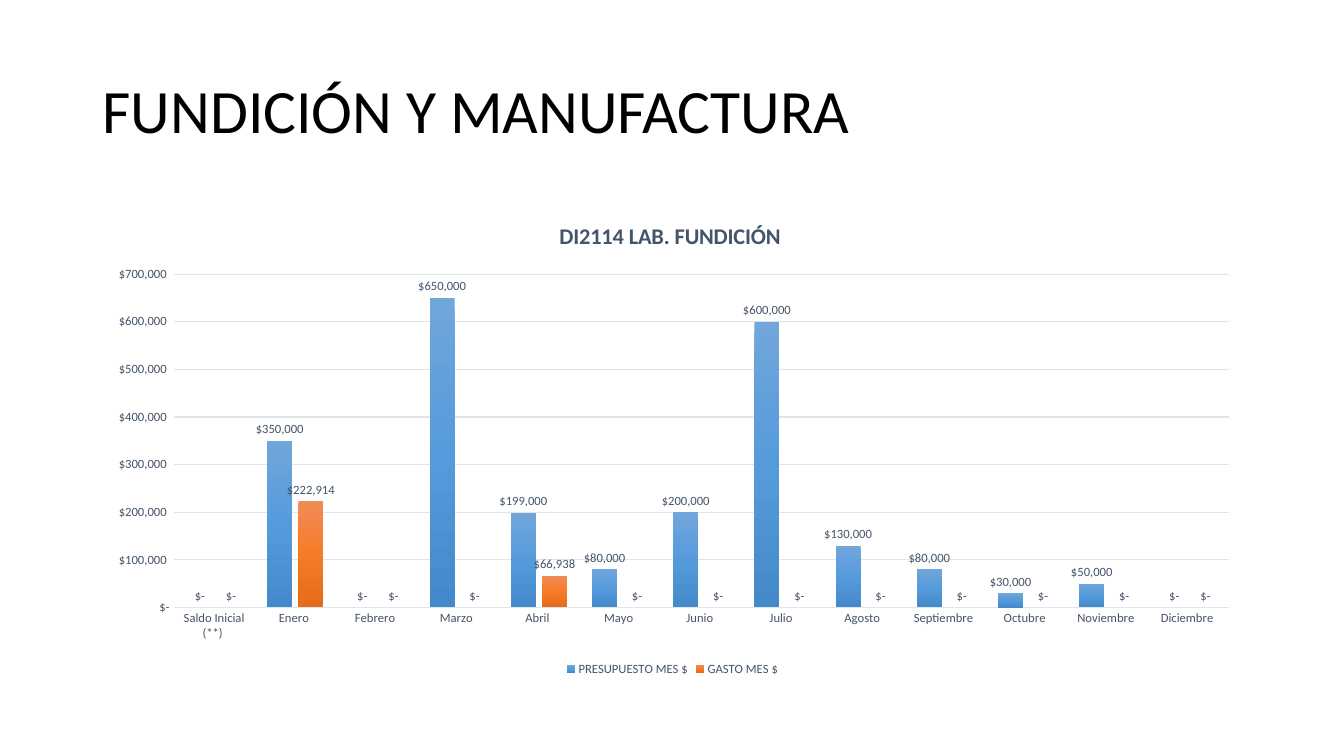
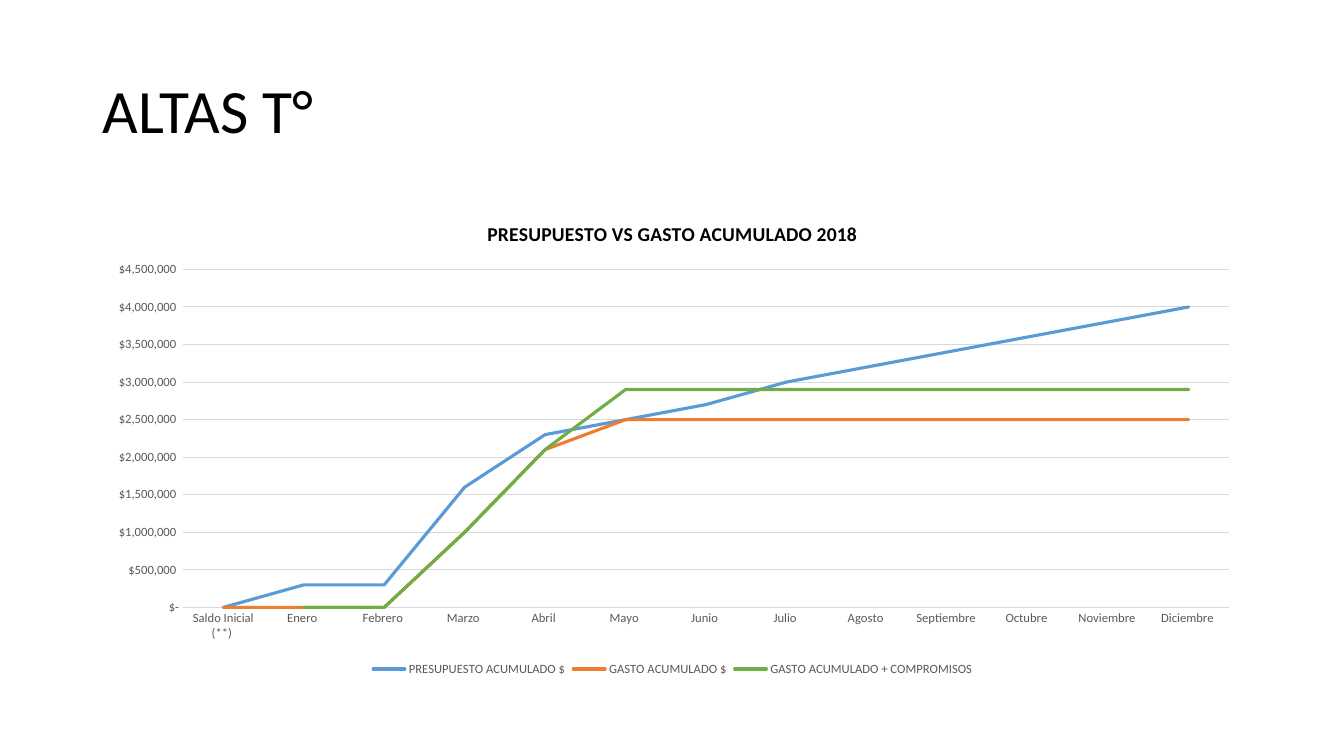
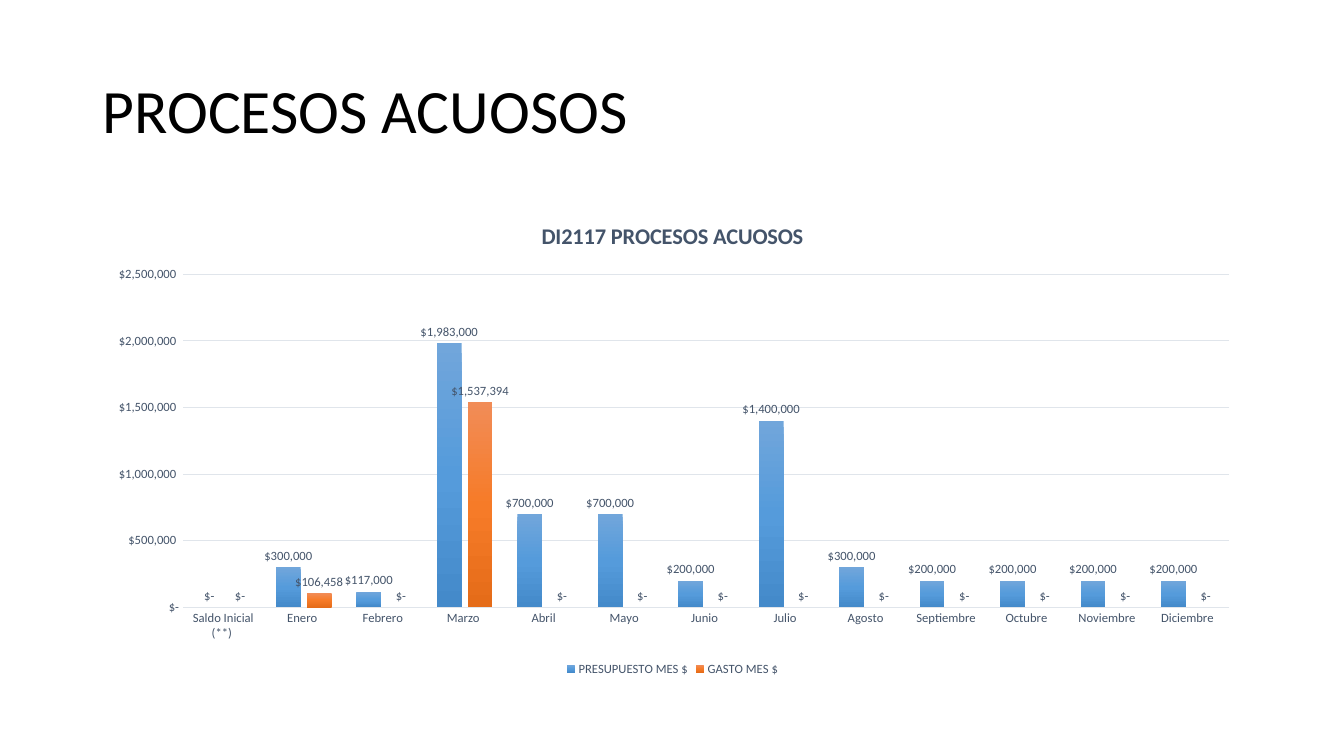
from pptx import Presentation
from pptx.chart.data import CategoryChartData
from pptx.dml.color import RGBColor
from pptx.enum.chart import XL_CHART_TYPE, XL_LABEL_POSITION, XL_LEGEND_POSITION, XL_TICK_MARK
from pptx.enum.text import MSO_ANCHOR
from pptx.oxml import parse_xml
from pptx.oxml.ns import nsdecls
from pptx.util import Inches, Pt

COLUMNS = XL_CHART_TYPE.COLUMN_CLUSTERED
LINES = XL_CHART_TYPE.LINE
LEGEND_BOTTOM = XL_LEGEND_POSITION.BOTTOM
LABEL_ABOVE = XL_LABEL_POSITION.OUTSIDE_END
NO_TICK = XL_TICK_MARK.NONE
MIDDLE = MSO_ANCHOR.MIDDLE

FONT = "Calibri"
COLORS = {
    "black": "000000",
    "slate": "44546A",
    "slate_grid": "E0E5EB",
    "gray": "595959",
    "gray_grid": "D9D9D9",
    "blue": "5B9BD5",
    "orange": "ED7D31",
    "green": "70AD47",
}
BAR_GRADIENTS = [
    ("71A6DB", "559BDB", "448ACA"),
    ("F18C57", "F67B28", "E56C19"),
]
LINE_COLORS = ["blue", "orange", "green"]
MONEY_FORMAT = '_-"$"* #,##0_-;\\-"$"* #,##0_-;_-"$"* "-"'
CATEGORIES = [
    "Saldo Inicial (**) ", "Enero ", "Febrero ", "Marzo ", "Abril ", "Mayo ", "Junio ",
    "Julio ", "Agosto ", "Septiembre ", "Octubre ", "Noviembre ", "Diciembre ",
]
LEFT, WIDTH = Inches(0.92), Inches(11.5)


def set_font(font, size, color, bold=False):
    font.name = FONT
    font.size = Pt(size)
    font.bold = bold
    font.color.rgb = RGBColor.from_string(COLORS[color])


def set_line(line, color, width):
    line.width = Pt(width)
    line.color.rgb = RGBColor.from_string(COLORS[color])


def add_titled_slide(presentation, title):
    slide = presentation.slides.add_slide(presentation.slide_layouts[6])
    text_frame = slide.shapes.add_textbox(LEFT, Inches(0.4), WIDTH, Inches(1.45)).text_frame
    text_frame.word_wrap = True
    text_frame.vertical_anchor = MIDDLE
    paragraph = text_frame.paragraphs[0]
    paragraph.text = title
    paragraph.line_spacing = 0.9
    set_font(paragraph.font, 44, "black")
    return slide


def add_money_chart(slide, kind, series_values, text_color, grid_color):
    data = CategoryChartData(number_format=MONEY_FORMAT)
    data.categories = CATEGORIES
    for name, values in series_values.items():
        data.add_series(name, values)
    chart = slide.shapes.add_chart(kind, LEFT, Inches(2), WIDTH, Inches(4.75), data).chart
    set_font(chart.font, 10, "black")
    chart.has_legend = True
    chart.legend.position = LEGEND_BOTTOM
    chart.legend.include_in_layout = False
    set_font(chart.legend.font, 9, text_color)
    for axis in (chart.category_axis, chart.value_axis):
        axis.major_tick_mark = NO_TICK
        axis.minor_tick_mark = NO_TICK
        set_font(axis.tick_labels.font, 9, text_color)
    set_line(chart.category_axis.format.line, grid_color, 0.75)
    value_axis = chart.value_axis
    value_axis.format.line.fill.background()
    value_axis.has_major_gridlines = True
    set_line(value_axis.major_gridlines.format.line, grid_color, 0.75)
    value_axis.tick_labels.number_format = MONEY_FORMAT
    value_axis.tick_labels.number_format_is_linked = False
    chart.plots[0].vary_by_categories = False
    return chart


def set_chart_title(chart, title, size, color):
    chart.has_title = True
    chart.chart_title.include_in_layout = False
    paragraph = chart.chart_title.text_frame.paragraphs[0]
    paragraph.text = title
    set_font(paragraph.font, size, color, bold=True)


def fill_gradient(series, colors):
    stops = "".join(
        f'<a:gs pos="{index * 50000}"><a:srgbClr val="{color}"/></a:gs>'
        for index, color in enumerate(colors)
    )
    gradient = parse_xml(
        f'<a:gradFill {nsdecls("a")} rotWithShape="1"><a:gsLst>{stops}</a:gsLst>'
        '<a:lin ang="5400000" scaled="0"/></a:gradFill>'
    )
    series._element.get_or_add_spPr().append(gradient)


def add_monthly_chart(slide, title, budget, spending):
    values = {"PRESUPUESTO MES $": budget, "GASTO MES $": spending}
    chart = add_money_chart(slide, COLUMNS, values, "slate", "slate_grid")
    set_chart_title(chart, title, 16, "slate")
    plot = chart.plots[0]
    plot.gap_width = 100
    plot.overlap = -24
    for series, colors in zip(plot.series, BAR_GRADIENTS):
        fill_gradient(series, colors)
        series.invert_if_negative = False
        labels = series.data_labels
        labels.show_value = True
        labels.position = LABEL_ABOVE
        labels.number_format = MONEY_FORMAT
        labels.number_format_is_linked = False
        set_font(labels.font, 9, "slate")


def add_cumulative_chart(slide, title, series_values):
    chart = add_money_chart(slide, LINES, series_values, "gray", "gray_grid")
    set_chart_title(chart, title, 14, "black")
    for series, color in zip(chart.plots[0].series, LINE_COLORS):
        series.smooth = False
        set_line(series.format.line, color, 2.25)
        series._element.get_or_add_spPr().get_or_add_ln().set("cap", "rnd")


def main():
    presentation = Presentation()
    presentation.slide_width = Inches(13.33)
    presentation.slide_height = Inches(7.5)

    slide = add_titled_slide(presentation, "FUNDICIÓN Y MANUFACTURA")
    add_monthly_chart(
        slide,
        "DI2114 LAB. FUNDICIÓN ",
        [0, 350000, 0, 650000, 199000, 80000, 200000, 600000, 130000, 80000, 30000, 50000, 0],
        [0, 222914, 0, 0, 66938] + [0] * 8,
    )

    slide = add_titled_slide(presentation, "ALTAS T°")
    add_cumulative_chart(slide, "PRESUPUESTO VS GASTO ACUMULADO 2018", {
        "PRESUPUESTO ACUMULADO $": [
            0, 300000, 300000, 1600000, 2300000, 2500000, 2700000,
            3000000, 3200000, 3400000, 3600000, 3800000, 4000000,
        ],
        "GASTO ACUMULADO $": [0, 0, 0, 1000000, 2100000] + [2500000] * 8,
        "GASTO ACUMULADO + COMPROMISOS": [None, 0, 0, 1000000, 2100000] + [2900000] * 8,
    })

    slide = add_titled_slide(presentation, "PROCESOS ACUOSOS")
    add_monthly_chart(
        slide,
        "DI2117 PROCESOS ACUOSOS",
        [0, 300000, 117000, 1983000, 700000, 700000, 200000, 1400000, 300000] + [200000] * 4,
        [0, 106458, 0, 1537394] + [0] * 9,
    )

    presentation.save("out.pptx")


if __name__ == "__main__":
    main()
